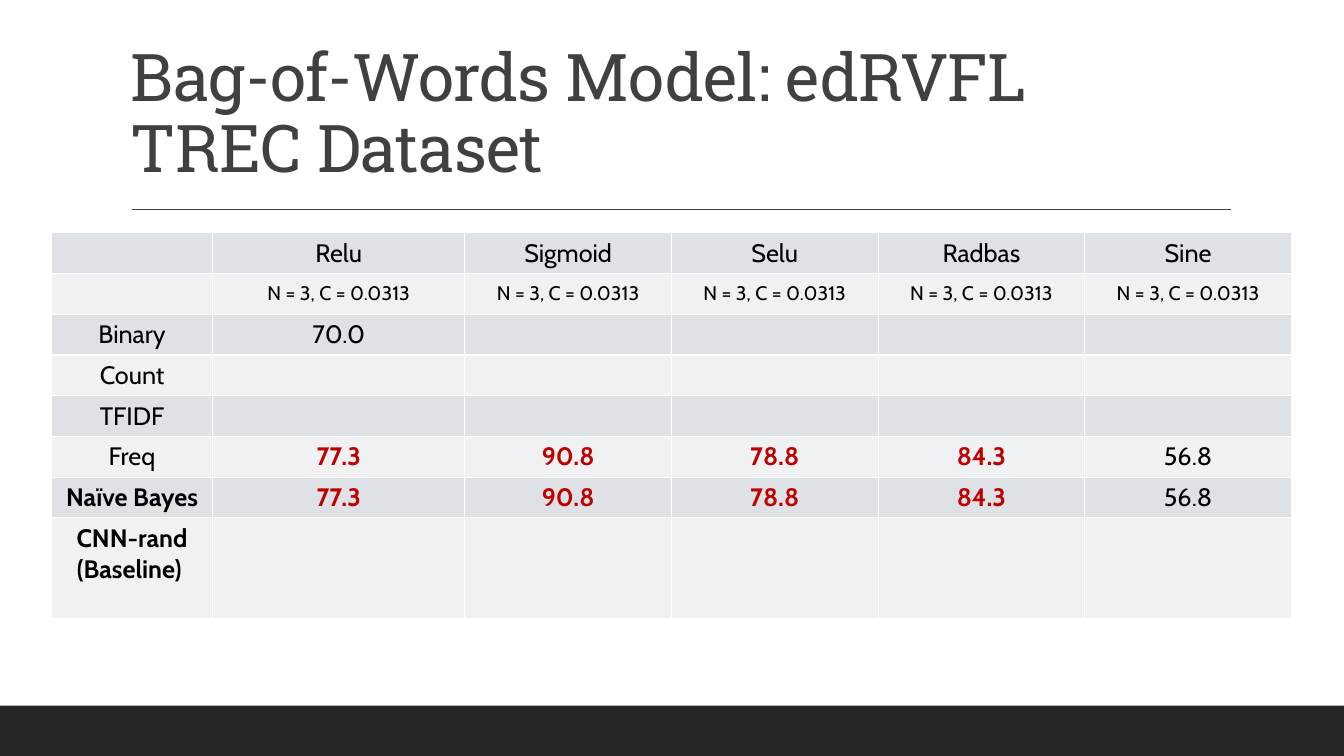
from dataclasses import dataclass

from lxml.etree import SubElement
from pptx import Presentation
from pptx.dml.color import RGBColor
from pptx.enum.shapes import MSO_CONNECTOR, MSO_SHAPE
from pptx.enum.text import MSO_ANCHOR, PP_ALIGN
from pptx.oxml.ns import qn
from pptx.util import Inches, Pt

TITLE = "Bag-of-Words Model: edRVFL\nTREC Dataset"
SCORES = ["77.3", "90.8", "78.8", "84.3", "56.8"]
ROWS = [
    ["", "Relu", "Sigmoid", "Selu", "Radbas", "Sine"],
    [""] + ["N = 3, C = 0.0313"] * 5,
    ["Binary", "70.0"],
    ["Count"],
    ["TFIDF"],
    ["Freq"] + SCORES,
    ["Naïve Bayes"] + SCORES,
    ["CNN-rand\n(Baseline) "],
]
PARAMS = 1  # row of settings, set smaller
BOLD = {"Naïve Bayes", "CNN-rand\n(Baseline) "}
WINS = set(SCORES[:4])

WIDE, HIGH = 13.33, 7.5
COLS = [1.6, 2.5] + [2.05] * 4
LEFT, TOP, TALL, LAST = 0.51, 2.31, 3.83, 1.0


@dataclass(frozen=True)
class Theme:
    head: str = "Roboto Slab"
    body: str = "Cabin"
    ink: str = "404040"
    text: str = "000000"
    win: str = "C00000"
    foot: str = "262626"
    edge: str = "FFFFFF"
    bands: tuple = ("DEE1E6", "EFF1F3")
    big: int = 47
    mid: int = 18
    small: int = 14


THEME = Theme()


def paint(fill, color):
    fill.solid()
    fill.fore_color.rgb = RGBColor.from_string(color)


def style(para, face, size, color, bold=False):
    for run in para.runs:
        font = run.font
        font.name, font.size, font.bold = face, Pt(size), bold
        font.color.rgb = RGBColor.from_string(color)


def border(cell):
    props = cell._tc.get_or_add_tcPr()
    for side in ("lnL", "lnR", "lnT", "lnB"):
        line = SubElement(props, qn("a:" + side), w=str(Pt(1)))
        fill = SubElement(line, qn("a:solidFill"))
        SubElement(fill, qn("a:srgbClr"), val=THEME.edge)


def add_frame(slide):
    """Draw the footer band and the rule under the title."""
    band = slide.shapes.add_shape(
        MSO_SHAPE.RECTANGLE, 0, Inches(HIGH - 0.5), Inches(WIDE), Inches(0.5))
    band.shadow.inherit = False
    paint(band.fill, THEME.foot)
    band.line.fill.background()
    rule = slide.shapes.add_connector(
        MSO_CONNECTOR.STRAIGHT,
        Inches(1.31), Inches(2.08), Inches(12.21), Inches(2.08))
    rule.line.width = Pt(1)
    paint(rule.line.fill, THEME.ink)
    SubElement(rule._element.spPr, qn("a:effectLst"))


def add_title(slide):
    box = slide.shapes.add_textbox(
        Inches(1.2), Inches(0.31), Inches(11), Inches(1.59))
    frame = box.text_frame
    frame.word_wrap = True
    frame.vertical_anchor = MSO_ANCHOR.BOTTOM
    para = frame.paragraphs[0]
    para.text = TITLE
    para.line_spacing = 0.9
    style(para, THEME.head, THEME.big, THEME.ink)
    for run in para.runs:
        run.font._element.set("spc", "-50")


def add_scores(slide):
    table = slide.shapes.add_table(
        len(ROWS), len(COLS), Inches(LEFT), Inches(TOP),
        Inches(sum(COLS)), Inches(TALL)).table
    for col, width in zip(table.columns, COLS):
        col.width = Inches(width)
    step = (TALL - LAST) / (len(ROWS) - 1)
    for r, texts in enumerate(ROWS):
        table.rows[r].height = Inches(LAST if r == len(ROWS) - 1 else step)
        for c in range(len(COLS)):
            cell = table.cell(r, c)
            border(cell)
            paint(cell.fill, THEME.bands[r % 2])
            if r == PARAMS:
                cell.vertical_anchor = MSO_ANCHOR.MIDDLE
            text = texts[c] if c < len(texts) else ""
            para = cell.text_frame.paragraphs[0]
            para.text = text
            para.alignment = PP_ALIGN.CENTER
            win = text in WINS
            style(para, THEME.body,
                  THEME.small if r == PARAMS else THEME.mid,
                  THEME.win if win else THEME.text,
                  win or text in BOLD)


def main():
    deck = Presentation()
    deck.slide_width, deck.slide_height = Inches(WIDE), Inches(HIGH)
    slide = deck.slides.add_slide(deck.slide_layouts[6])
    add_frame(slide)
    add_title(slide)
    add_scores(slide)
    deck.save("out.pptx")


if __name__ == "__main__":
    main()
